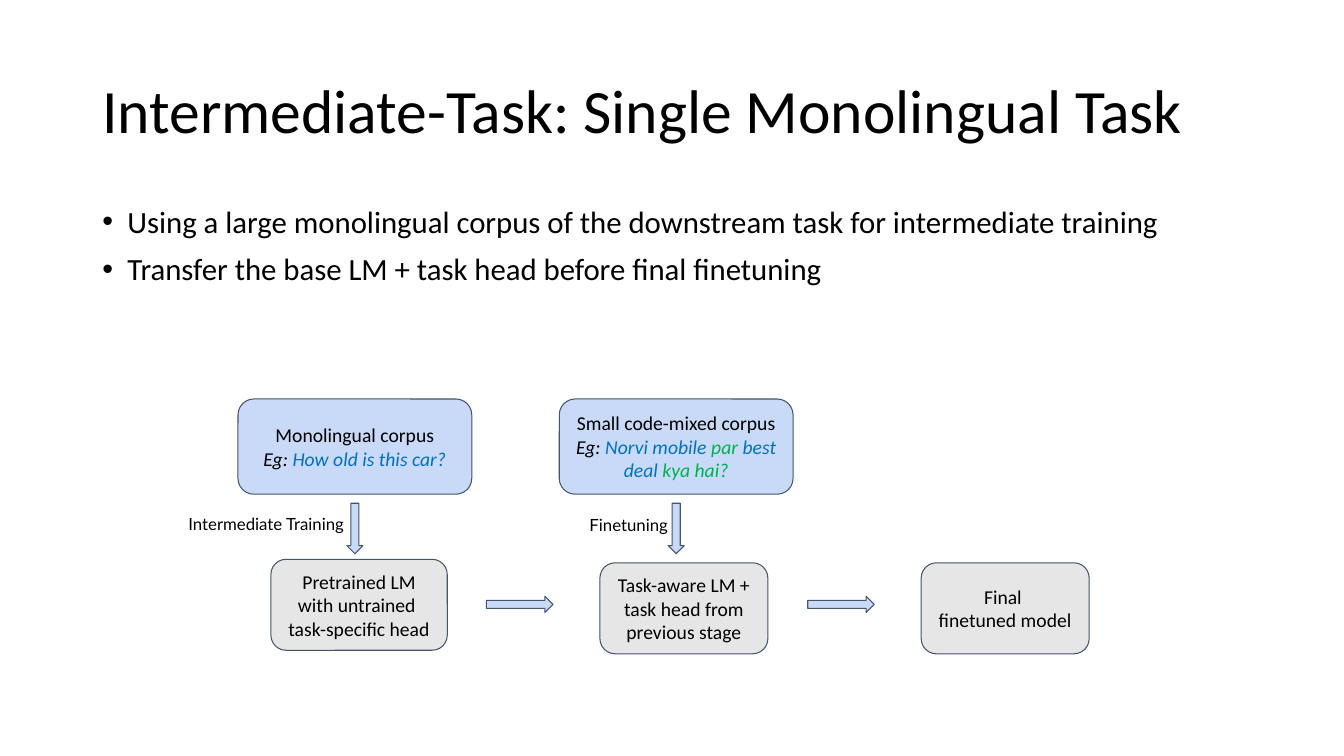
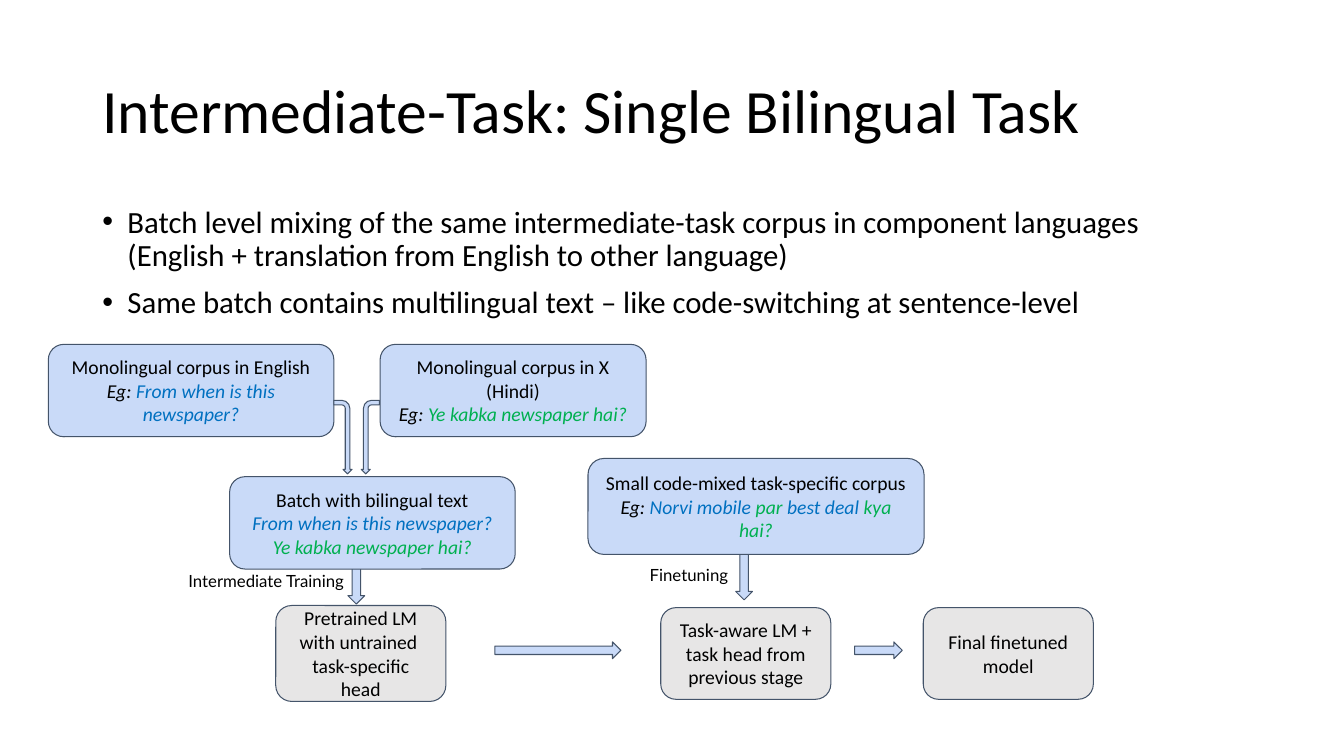
from dataclasses import dataclass

from lxml import etree
from pptx import Presentation
from pptx import util as u
from pptx.dml.color import RGBColor
from pptx.enum import shapes, text
from pptx.oxml import ns

Pt = u.Pt


@dataclass(frozen=True)
class Theme:
    ink: str = "000000"
    corpus: str = "C9DAF8"
    model: str = "E7E6E6"
    outline: str = "44546A"
    english: str = "0070C0"
    hindi: str = "00B050"
    font: str = "Calibri"
    label_font: str = "Lato"
    title_size: int = 44
    body_size: int = 22
    box_size: int = 14
    label_size: int = 12
    line_width: float = 0.75
    inset: float = 7.2


THEME = Theme()
SHAPE = shapes.MSO_SHAPE
MIDDLE = text.MSO_ANCHOR.MIDDLE


# Wording: a paragraph is a list of (words, colour, italic)
def plain(words):
    return words, THEME.ink, False


def english(words):
    return words, THEME.english, True


def hindi(words):
    return words, THEME.hindi, True


EG = ("Eg: ", THEME.ink, True)
CODE_MIXED_EXAMPLE = [EG, english("Norvi mobile "), hindi("par "),
                      english("best deal "), hindi("kya hai?")]
PRETRAINED = [[plain("Pretrained LM with untrained \vtask-specific head")]]
TASK_AWARE = [[plain("Task-aware LM + task head from previous stage")]]
ENGLISH_QUESTION = english("From when is this newspaper?")
HINDI_QUESTION = hindi("Ye kabka newspaper hai?")


# Text
def add_runs(paragraph, pieces, size, font):
    for words, color, italic in pieces:
        for index, line in enumerate(words.split("\v")):
            if index:
                paragraph.add_line_break()
            run = paragraph.add_run()
            run.text = line
            run.font.size = Pt(size)
            run.font.name = font
            run.font.italic = italic
            run.font.color.rgb = RGBColor.from_string(color)


def fill_frame(frame, paragraphs, size, font=THEME.font, align=None):
    frame.word_wrap = True
    for index, pieces in enumerate(paragraphs):
        paragraph = frame.add_paragraph() if index else frame.paragraphs[0]
        paragraph.alignment = align
        add_runs(paragraph, pieces, size, font)


def set_insets(frame):
    frame.margin_left = frame.margin_right = Pt(THEME.inset)
    frame.margin_top = frame.margin_bottom = Pt(THEME.inset)


def add_text(slide, left, top, width, height, paragraphs, size, font=THEME.font):
    frame = slide.shapes.add_textbox(
        Pt(left), Pt(top), Pt(width), Pt(height)).text_frame
    fill_frame(frame, paragraphs, size, font)
    return frame


def add_title(slide, words):
    frame = add_text(slide, 66, 29, 828, 104, [[plain(words)]], THEME.title_size)
    frame.vertical_anchor = MIDDLE
    frame.paragraphs[0].line_spacing = 0.9


def add_bullets(slide, height, points):
    frame = add_text(slide, 66, 144, 828, height,
                     [[plain(point)] for point in points], THEME.body_size)
    for paragraph in frame.paragraphs:
        paragraph.line_spacing = 0.9
        paragraph.space_before = Pt(10)
        properties = paragraph._p.get_or_add_pPr()
        properties.set("marL", str(Pt(18)))
        properties.set("indent", str(Pt(-18)))
        etree.SubElement(properties, ns.qn("a:buFont")).set("typeface", "Arial")
        etree.SubElement(properties, ns.qn("a:buChar")).set("char", "•")


def add_label(slide, left, top, words):
    frame = add_text(slide, left, top, 141, 29, [[plain(words)]],
                     THEME.label_size, THEME.label_font)
    set_insets(frame)


# Diagram parts
def add_outlined(slide, kind, left, top, width, height, fill):
    part = slide.shapes.add_shape(kind, Pt(left), Pt(top), Pt(width), Pt(height))
    part.shadow.inherit = False
    part.fill.solid()
    part.fill.fore_color.rgb = RGBColor.from_string(fill)
    part.line.color.rgb = RGBColor.from_string(THEME.outline)
    part.line.width = Pt(THEME.line_width)
    return part


def add_block(slide, left, top, width, height, fill, paragraphs):
    block = add_outlined(slide, SHAPE.ROUNDED_RECTANGLE,
                         left, top, width, height, fill)
    frame = block.text_frame
    set_insets(frame)
    frame.vertical_anchor = MIDDLE
    fill_frame(frame, paragraphs, THEME.box_size, align=text.PP_ALIGN.CENTER)


def add_right_arrow(slide, left, top, length, thickness):
    add_outlined(slide, SHAPE.RIGHT_ARROW, left, top, length, thickness,
                 THEME.corpus)


def add_turned_arrow(slide, kind, center, top, length, thickness, mirrored=False):
    """Arrow that ends pointing down, centred on a vertical line."""
    arrow = add_outlined(slide, kind, center - length / 2,
                         top + (length - thickness) / 2,
                         length, thickness, THEME.corpus)
    arrow.rotation = 270 if mirrored else 90
    if mirrored:
        arrow.element.spPr.find(ns.qn("a:xfrm")).set("flipH", "1")


# Slides
def build_monolingual(slide):
    add_title(slide, "Intermediate-Task: Single Monolingual Task")
    add_bullets(slide, 104, [
        "Using a large monolingual corpus of the downstream task for "
        "intermediate training",
        "Transfer the base LM + task head before final finetuning",
    ])

    # Corpora, each feeding the model below it
    corpus_width = 167
    corpora = [
        (170, [[plain("Monolingual corpus")],
               [EG, english("How old is this car?")]]),
        (399.5, [[plain("Small code-mixed corpus")], CODE_MIXED_EXAMPLE]),
    ]
    for left, paragraphs in corpora:
        add_block(slide, left, 285, corpus_width, 68, THEME.corpus, paragraphs)
        add_turned_arrow(slide, SHAPE.RIGHT_ARROW, left + corpus_width / 2,
                         359.5, 36, 11.5)

    # Models
    models = [
        (193.5, 399.5, 126, PRETRAINED),
        (428.5, 402, 120, TASK_AWARE),
        (658, 402, 120, [[plain("Final \vfinetuned model")]]),
    ]
    for left, top, width, paragraphs in models:
        add_block(slide, left, top, width, 65, THEME.model, paragraphs)
    for left in (347.5, 577):
        add_right_arrow(slide, left, 426, 47.5, 11.5)

    add_label(slide, 127.5, 359.5, "Intermediate Training")
    add_label(slide, 414, 360.5, "Finetuning")


def build_bilingual(slide):
    # Training arrows start behind the corpora
    for center, top in ((531.5, 391.5), (254.5, 394.5)):
        add_turned_arrow(slide, SHAPE.RIGHT_ARROW, center, top, 37, 12)

    add_title(slide, "Intermediate-Task: Single Bilingual Task")
    add_bullets(slide, 89, [
        "Batch level mixing of the same intermediate-task corpus in component "
        "languages (English + translation from English to other language)",
        "Same batch contains multilingual text – like code-switching at "
        "sentence-level",
    ])

    # Corpora
    corpora = [
        (34.5, 246, 204, 66, [[plain("Monolingual corpus in English")],
                              [EG, ENGLISH_QUESTION]]),
        (271.5, 246, 190, 66, [[plain("Monolingual corpus in X (Hindi)")],
                               [EG, HINDI_QUESTION]]),
        (164, 340.5, 204, 66, [[plain("Batch with bilingual text")],
                               [ENGLISH_QUESTION], [HINDI_QUESTION]]),
        (420, 327.5, 240, 68.5,
         [[plain("Small code-mixed task-specific corpus")],
          CODE_MIXED_EXAMPLE]),
    ]
    for left, top, width, height, paragraphs in corpora:
        add_block(slide, left, top, width, height, THEME.corpus, paragraphs)
    for center, mirrored in ((245, False), (264.5, True)):
        add_turned_arrow(slide, SHAPE.BENT_ARROW, center, 286, 52.5, 13, mirrored)

    # Models
    models = [
        (197, 432.5, 68.5, PRETRAINED),
        (472, 434, 65.5, TASK_AWARE),
        (659.5, 434, 65.5, [[plain("Final finetuned model")]]),
    ]
    for left, top, height, paragraphs in models:
        add_block(slide, left, top, 121.5, height, THEME.model, paragraphs)
    for left, length in ((353.5, 90), (610.5, 34)):
        add_right_arrow(slide, left, 458.5, length, 12)

    add_label(slide, 127.5, 400.5, "Intermediate Training")
    add_label(slide, 457, 396.5, "Finetuning")


def main():
    deck = Presentation()
    deck.slide_width, deck.slide_height = Pt(960), Pt(540)
    blank = deck.slide_layouts[6]
    for build in (build_monolingual, build_bilingual):
        build(deck.slides.add_slide(blank))
    deck.save("out.pptx")


main()
